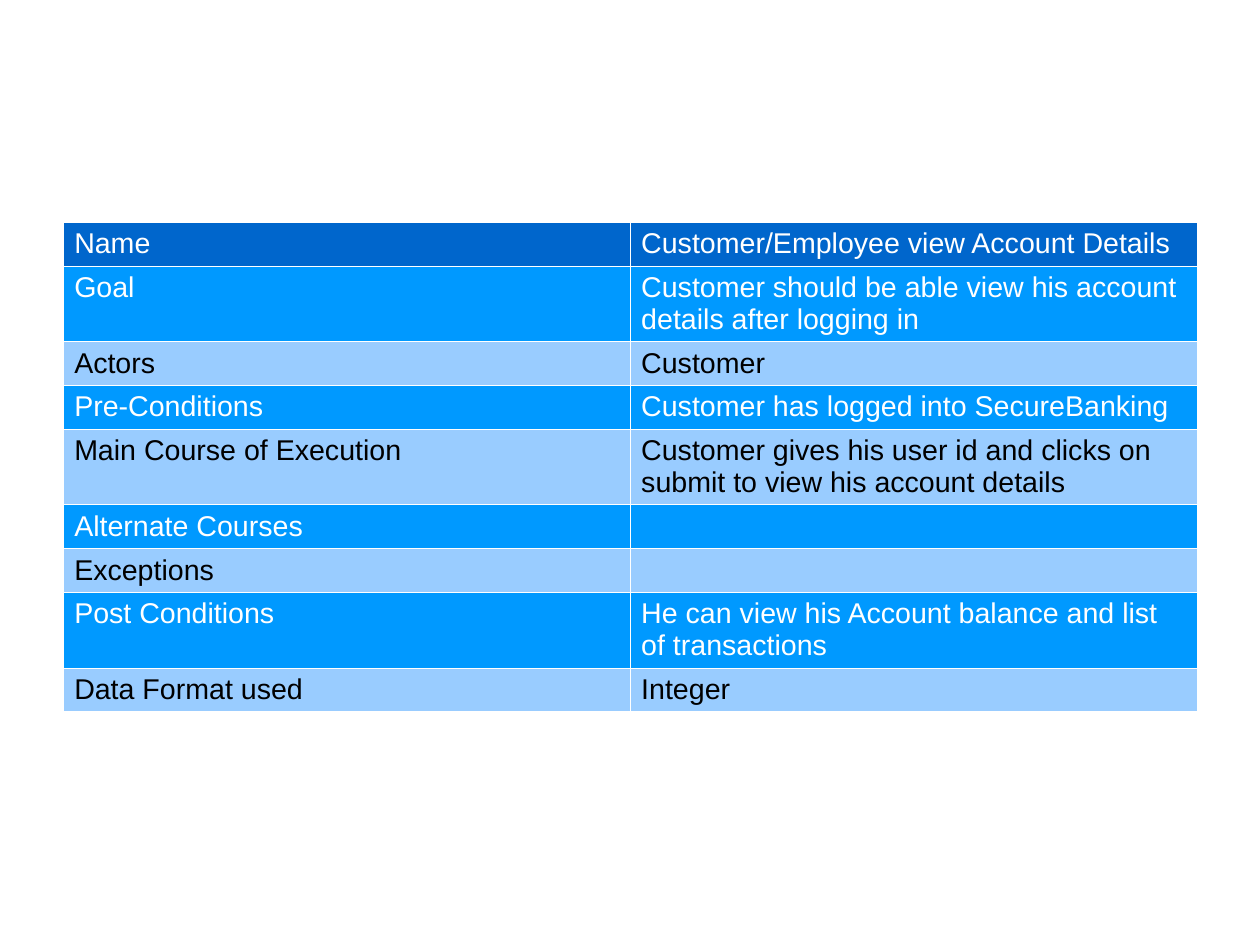
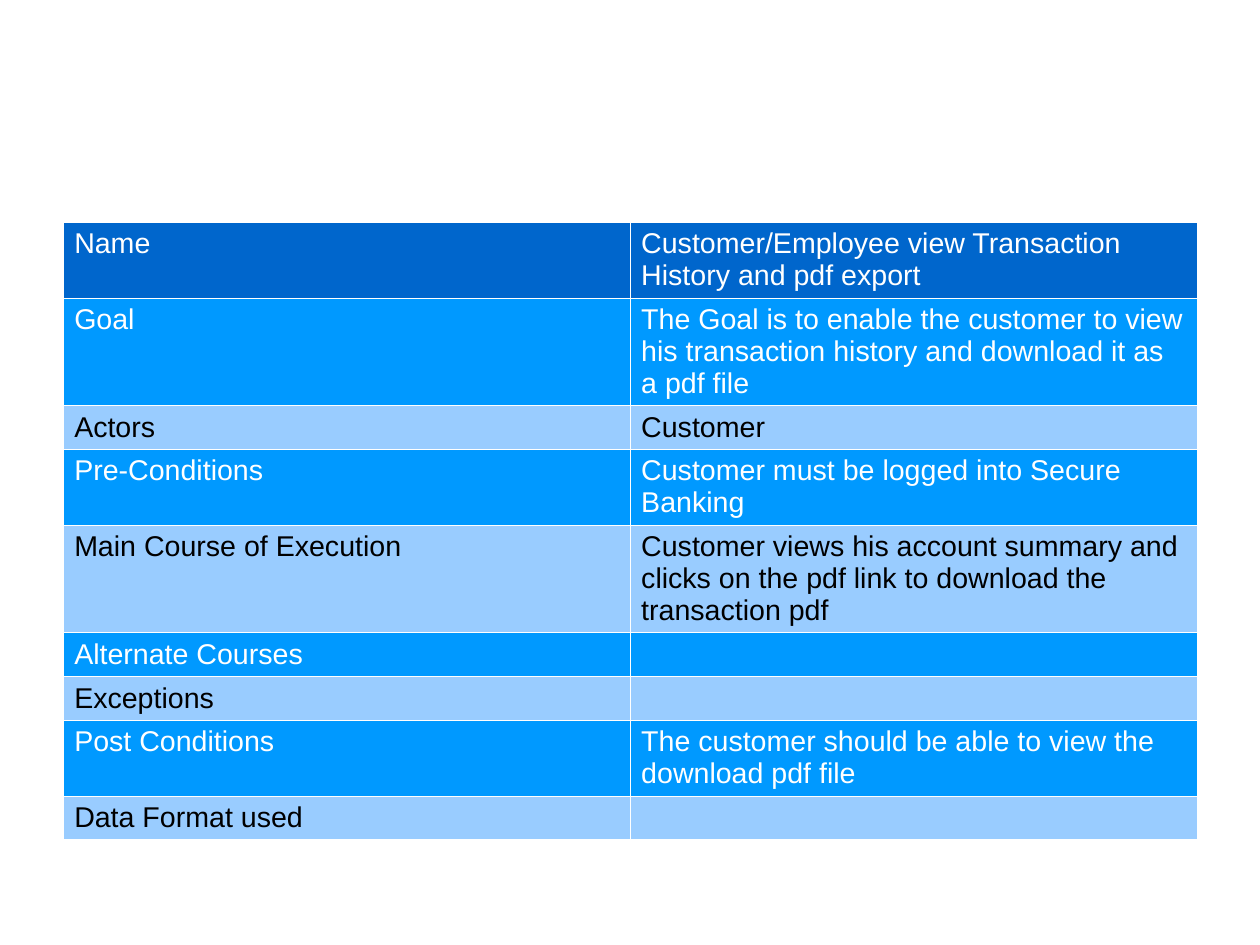
from dataclasses import dataclass

from lxml import etree
from pptx import Presentation
from pptx.dml.color import RGBColor
from pptx.oxml import ns
from pptx.util import Cm, Length, Pt


@dataclass(frozen=True)
class Theme:
    font: str = "Arial"
    body_size: Length = Pt(18)
    border_width: Length = Pt(0.06)
    border: str = "FFFFFF"
    header_fill: str = "0066CC"
    odd_fill: str = "0099FF"
    even_fill: str = "99CCFF"
    light_text: str = "FFFFFF"
    dark_text: str = "000000"

    def row_colors(self, index: int) -> tuple[str, str]:
        """Return the fill and text colour of a table row."""
        if index == 0:
            return self.header_fill, self.light_text
        if index % 2:
            return self.odd_fill, self.light_text
        return self.even_fill, self.dark_text


@dataclass(frozen=True)
class Entry:
    text: str = ""
    lines: int = 1

    @property
    def height(self) -> Length:
        return Cm(0.26 + 0.71 * self.lines)


THEME = Theme()
TABLE_LEFT, TABLE_TOP = Cm(1.4), Cm(4.93)
COLUMN_WIDTH = Cm(12.6)

LABELS = (
    "Name",
    "Goal",
    "Actors",
    "Pre-Conditions",
    "Main Course of Execution",
    "Alternate Courses",
    "Exceptions",
    "Post Conditions",
    "Data Format used",
)

ACCOUNT_DETAILS = (
    Entry("Customer/Employee view Account Details"),
    Entry("Customer should be able view his account details after logging in", 2),
    Entry("Customer"),
    Entry("Customer has logged into SecureBanking"),
    Entry("Customer gives his user id and clicks on submit to view his account details", 2),
    Entry(),
    Entry(),
    Entry("He can view his Account balance and list of transactions", 2),
    Entry("Integer"),
)

TRANSACTION_HISTORY = (
    Entry("Customer/Employee view Transaction History and pdf export", 2),
    Entry("The Goal is to enable the customer to view his transaction history "
          "and download it as a pdf file", 3),
    Entry("Customer"),
    Entry("Customer must be logged into Secure Banking", 2),
    Entry("Customer views his account summary and clicks on the pdf link "
          "to download the transaction pdf", 3),
    Entry(),
    Entry(),
    Entry("The customer should be able to view the download pdf file", 2),
    Entry(),
)


def write_text(frame, text: str, *, color: str, size: Length = THEME.body_size,
               font: str = THEME.font) -> None:
    para = frame.paragraphs[0]
    para.font.size = size
    para.font.name = font
    if text:
        span = para.add_run()
        span.text = text
        span.font.size = size
        span.font.name = font
        span.font.color.rgb = RGBColor.from_string(color)


def add_borders(cell) -> None:
    """Outline a cell; call before filling it, as lines precede the fill in XML."""
    properties = cell._tc.get_or_add_tcPr()
    for side in ("L", "R", "T", "B"):
        line = etree.SubElement(properties, ns.qn(f"a:ln{side}"), w=str(THEME.border_width))
        fill = etree.SubElement(line, ns.qn("a:solidFill"))
        etree.SubElement(fill, ns.qn("a:srgbClr"), val=THEME.border)


def format_cell(cell, text: str, fill: str, color: str) -> None:
    cell.margin_left = cell.margin_right = Cm(0.25)
    cell.margin_top = cell.margin_bottom = Cm(0.13)
    add_borders(cell)
    cell.fill.solid()
    cell.fill.fore_color.rgb = RGBColor.from_string(fill)
    write_text(cell.text_frame, text, color=color)


def add_use_case(deck, entries: tuple[Entry, ...]) -> None:
    page = deck.slides.add_slide(deck.slide_layouts.get_by_name("Blank"))
    height = sum(entry.height for entry in entries)
    table = page.shapes.add_table(len(entries), 2, TABLE_LEFT, TABLE_TOP,
                                  2 * COLUMN_WIDTH, height).table
    table.first_row = table.horz_banding = False
    for column in table.columns:
        column.width = COLUMN_WIDTH
    for index, (label, entry) in enumerate(zip(LABELS, entries)):
        table.rows[index].height = entry.height
        fill, color = THEME.row_colors(index)
        for column, text in enumerate((label, entry.text)):
            format_cell(table.cell(index, column), text, fill, color)


def main() -> None:
    deck = Presentation()
    deck.slide_width, deck.slide_height = Cm(28), Cm(21)
    for entries in (ACCOUNT_DETAILS, TRANSACTION_HISTORY):
        add_use_case(deck, entries)
    deck.save("out.pptx")


if __name__ == "__main__":
    main()
